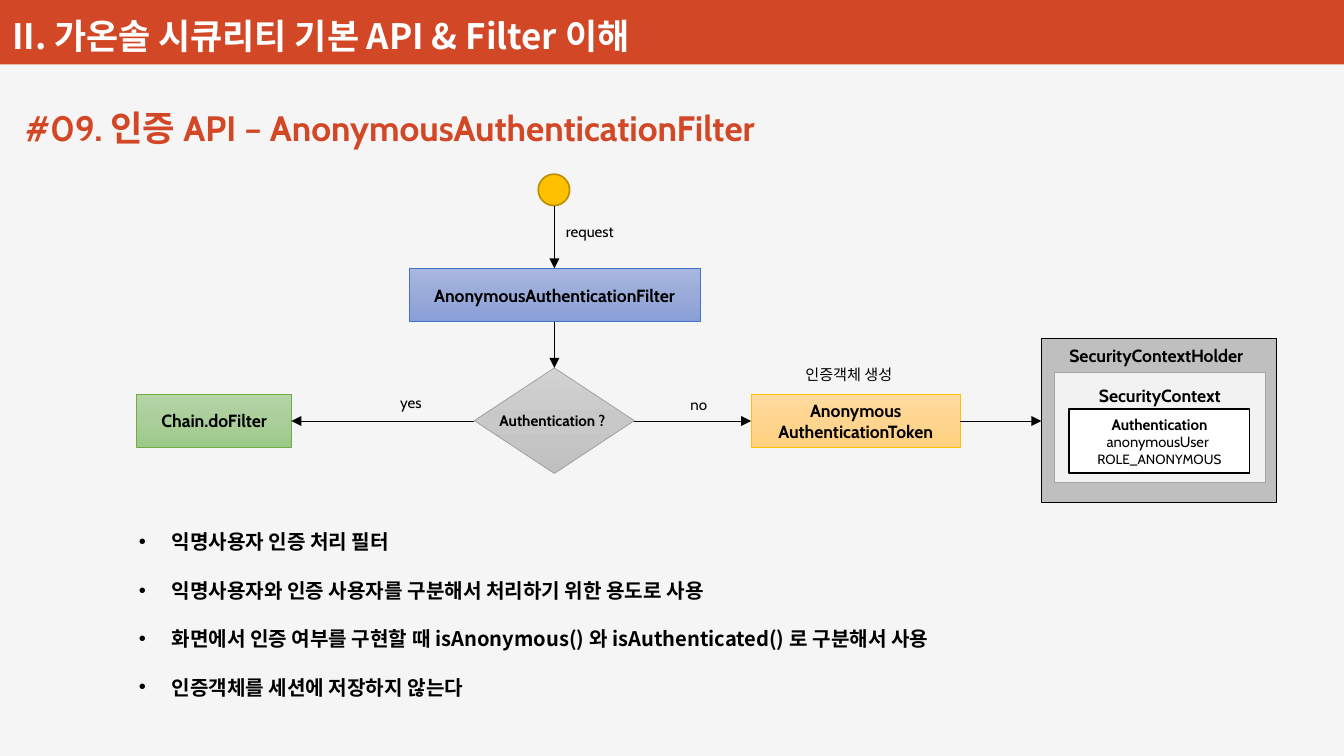
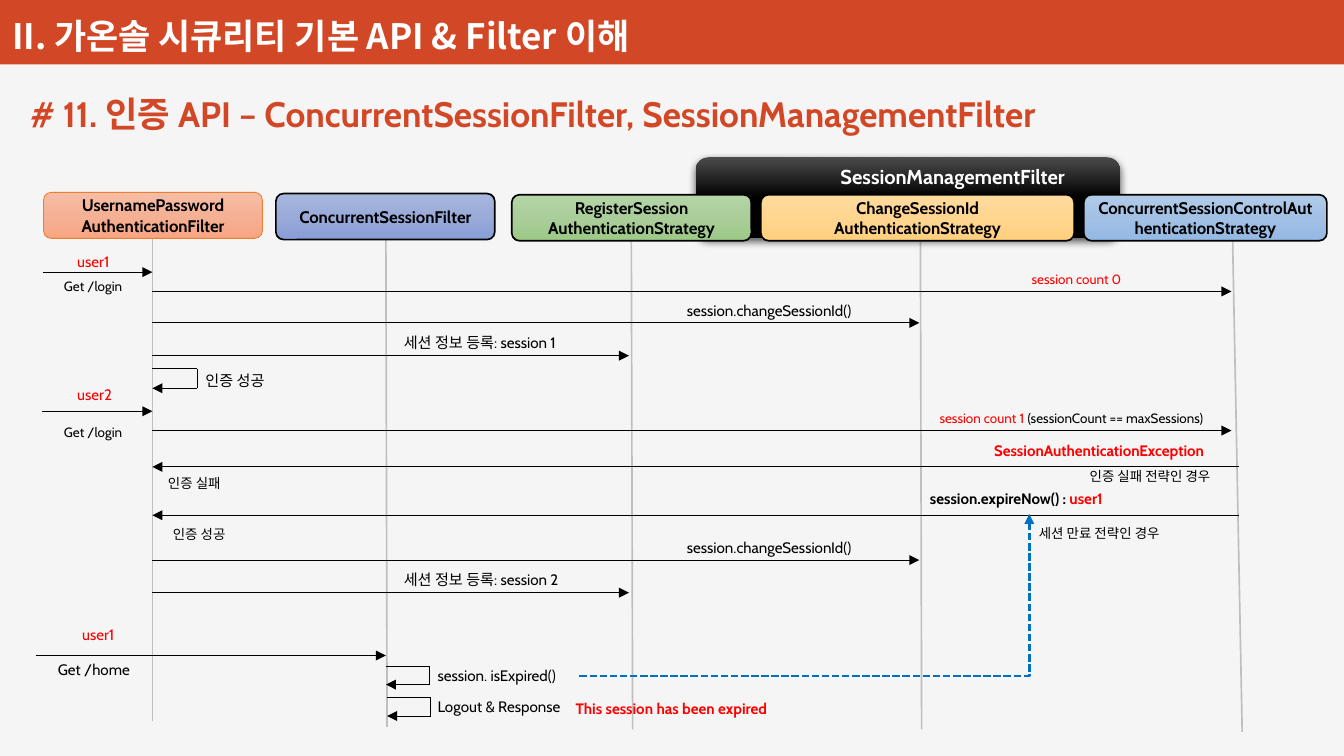
from dataclasses import dataclass
from typing import Optional

from lxml.etree import SubElement
from pptx import Presentation
from pptx.dml.color import RGBColor
from pptx.enum.dml import MSO_LINE
from pptx.enum.shapes import MSO_CONNECTOR, MSO_SHAPE
from pptx.enum.text import MSO_ANCHOR, MSO_AUTO_SIZE, PP_ALIGN
from pptx.oxml import parse_xml
from pptx.oxml.ns import nsdecls, qn
from pptx.util import Pt

# Shared style
LATIN, KOREAN = "Cabin", "Noto Sans CJK KR"
BLACK, WHITE, RED, BRAND = "000000", "FFFFFF", "FF0000", "D24726"
PAPER, LIFELINE, EXPIRY = "F5F5F5", "BFBFBF", "0070C0"
BLUE = ("A8B7DF", "9AABD9", "889ED7")
GREEN = ("B5D5A7", "AACE9A", "9CC987")
GOLD = ("FFDB9E", "FFD590", "FFD07C")
SKY = ("B1CBE9", "A3C1E5", "93B9E4")
CORAL = ("F7BDA5", "F5B196", "F8A582")
GRAY = ("D2D2D2", "C8C8C8", "C0C0C0")
DARK = ("4B4B4B", BLACK, BLACK)
CHAPTER = "II. 가온솔 시큐리티 기본 API & Filter 이해"


@dataclass
class Span:
    text: str
    size: float = 9
    color: str = BLACK
    bold: bool = False
    name: str = LATIN


Paras = list[list[Span]]


@dataclass
class Node:
    left: float
    top: float
    width: float
    height: float
    fill: str | tuple[str, ...]
    line: Optional[str] = None
    weight: float = 0.5
    paras: Paras = ()
    kind: MSO_SHAPE = MSO_SHAPE.RECTANGLE
    anchor: MSO_ANCHOR = MSO_ANCHOR.MIDDLE
    inset: float = 3.6


@dataclass
class Label:
    left: float
    top: float
    width: float
    spans: list[Span]
    height: float = 18
    wrap: bool = False
    align: PP_ALIGN = PP_ALIGN.LEFT


@dataclass
class Line:
    x1: float
    y1: float
    x2: float
    y2: float
    color: str = BLACK
    weight: float = 0.5
    arrow: bool = True


def rgb(value: str) -> RGBColor:
    return RGBColor.from_string(value)


def bold_lines(size: float, *texts: str) -> Paras:
    return [[Span(text, size, bold=True)] for text in texts]


def write(frame, paras: Paras, align: PP_ALIGN) -> None:
    for index, spans in enumerate(paras):
        para = frame.add_paragraph() if index else frame.paragraphs[0]
        para.alignment = align
        for item in spans:
            span = para.add_run()
            span.text = item.text
            formats = {"size": Pt(item.size), "bold": item.bold, "name": item.name}
            for key, value in formats.items():
                setattr(span.font, key, value)
            span.font.color.rgb = rgb(item.color)
            SubElement(span.font._element, qn("a:ea")).set("typeface", KOREAN)


def draw_node(page, node: Node):
    shape = page.shapes.add_shape(
        node.kind, Pt(node.left), Pt(node.top), Pt(node.width), Pt(node.height))
    shape.shadow.inherit = False
    if isinstance(node.fill, str):
        shape.fill.solid()
        shape.fill.fore_color.rgb = rgb(node.fill)
    else:
        stops = "".join(f'<a:gs pos="{i * 50000}"><a:srgbClr val="{c}"/></a:gs>'
                        for i, c in enumerate(node.fill))
        shape.element.spPr.insert(2, parse_xml(
            f'<a:gradFill {nsdecls("a")} rotWithShape="1"><a:gsLst>{stops}</a:gsLst>'
            '<a:lin ang="5400000" scaled="0"/></a:gradFill>'))
    if node.line:
        shape.line.color.rgb = rgb(node.line)
        shape.line.width = Pt(node.weight)
    else:
        shape.line.fill.background()
    frame = shape.text_frame
    frame.word_wrap = True
    frame.vertical_anchor = node.anchor
    frame.margin_top = Pt(node.inset)
    write(frame, node.paras, PP_ALIGN.CENTER)
    return shape


def draw_label(page, label: Label):
    box = page.shapes.add_textbox(
        Pt(label.left), Pt(label.top), Pt(label.width), Pt(label.height))
    box.text_frame.word_wrap = label.wrap
    box.text_frame.auto_size = MSO_AUTO_SIZE.SHAPE_TO_FIT_TEXT
    write(box.text_frame, [label.spans], label.align)
    return box


def draw_line(page, line: Line, kind=MSO_CONNECTOR.STRAIGHT, dash=None):
    connector = page.shapes.add_connector(
        kind, Pt(line.x1), Pt(line.y1), Pt(line.x2), Pt(line.y2))
    connector.line.color.rgb = rgb(line.color)
    connector.line.width = Pt(line.weight)
    if dash:
        connector.line.dash_style = dash
    properties = connector.element.spPr
    if line.arrow:
        SubElement(properties.find(qn("a:ln")), qn("a:tailEnd")).set("type", "triangle")
    SubElement(properties, qn("a:effectLst"))
    return connector


def draw_loop(page, left: float, top: float, width: float, height: float) -> None:
    right, bottom = left + width, top + height
    draw_line(page, Line(left, top, right, top, arrow=False))
    draw_line(page, Line(right, top, right, bottom, arrow=False))
    draw_line(page, Line(right, bottom, left, bottom))


def add_page(deck, heading: Label):
    page = deck.slides.add_slide(deck.slide_layouts[6])
    draw_node(page, Node(0, 0, 800, 38.4, BRAND))
    box = page.shapes.add_textbox(Pt(0.7), Pt(-7.2), Pt(444), Pt(44))
    frame = box.text_frame
    frame.word_wrap = True
    frame.vertical_anchor = MSO_ANCHOR.BOTTOM
    margins = {"margin_left": 6.5, "margin_right": 6.5, "margin_top": 2.9, "margin_bottom": 2.9}
    for key, value in margins.items():
        setattr(frame, key, Pt(value))
    write(frame, [[Span(CHAPTER, 20.8, WHITE, True, KOREAN)]], PP_ALIGN.LEFT)
    draw_label(page, heading)
    return page


def draw_bullets(page, paras: Paras) -> None:
    box = page.shapes.add_textbox(Pt(75.6), Pt(297.4), Pt(526.3), Pt(123.8))
    box.text_frame.word_wrap = True
    write(box.text_frame, paras, PP_ALIGN.LEFT)
    for para in box.text_frame.paragraphs:
        para.line_spacing = 2.0
        properties = para._p.get_or_add_pPr()
        properties.set("marL", str(Pt(19.4)))
        properties.set("indent", str(-Pt(19.4)))
        SubElement(properties, qn("a:buFont")).set("typeface", "Arial")
        SubElement(properties, qn("a:buChar")).set("char", "•")


def build_anonymous(deck) -> None:
    page = add_page(deck, Label(7.9, 59.8, 488, [
        Span("#09. 인증 API – AnonymousAuthenticationFilter", 21, BRAND, True)], 32.4))
    center, flow = 330, 250.6
    # Flow shapes
    user = [[Span("Authentication", bold=True)],
            [Span("anonymousUser ", 8.8)], [Span("ROLE_ANONYMOUS", 8)]]
    for node in (
        Node(320.4, 103.7, 18.7, 18.7, "FFC000", "BD8E00", 1, kind=MSO_SHAPE.OVAL),
        Node(243.4, 159.8, 173.5, 31.7, BLUE, "4472C4",
             paras=bold_lines(10.5, "AnonymousAuthenticationFilter")),
        Node(282.4, 219, 95.2, 62.8, GRAY, "A5A5A5", kind=MSO_SHAPE.FLOWCHART_DECISION),
        Node(81.4, 234.7, 92.2, 31.7, GREEN, "70AD47",
             paras=bold_lines(10.5, "Chain.doFilter")),
        Node(447.1, 234.7, 124.6, 31.7, GOLD, "FFC000",
             paras=bold_lines(10.5, "Anonymous", "AuthenticationToken")),
        Node(619.9, 201.6, 139.7, 97.2, "BFBFBF", BLACK),
        Node(627.8, 221.8, 125.3, 65.5, "F2F2F2", "A5A5A5", anchor=MSO_ANCHOR.TOP,
             inset=7.4, paras=bold_lines(10.5, "SecurityContext")),
        Node(636.5, 243.4, 107.3, 38.2, WHITE, BLACK, 1, user),
    ):
        draw_node(page, node)
    # Arrows
    for ends in ((center, 122.4, center, 159.8), (center, 191.5, center, 219),
                 (282.4, flow, 173.5, flow), (377.6, flow, 447.1, flow),
                 (571.7, flow, 619.9, flow)):
        draw_line(page, Line(*ends))
    # Labels
    for label in (
        Label(624.2, 201.6, 128.2, [Span("SecurityContextHolder", 10.5, bold=True)],
              20.2, align=PP_ALIGN.CENTER),
        Label(290.2, 241.2, 85, [Span("Authentication ?", bold=True)]),
        Label(403.9, 231.8, 30.2, [Span("no")], wrap=True),
        Label(231.1, 230.4, 30.2, [Span("yes")], wrap=True),
        Label(329.8, 128.9, 51.1, [Span("request")], wrap=True),
        Label(472.3, 213.8, 83.5, [Span("인증객체 생성")], wrap=True),
    ):
        draw_label(page, label)
    # Summary
    draw_bullets(page, [[Span(text, 12, bold=True, name=KOREAN)] for text in (
        "익명사용자 인증 처리 필터",
        "익명사용자와 인증 사용자를 구분해서 처리하기 위한 용도로 사용",
        "화면에서 인증 여부를 구현할 때 isAnonymous() 와 isAuthenticated() 로 구분해서 사용",
        "인증객체를 세션에 저장하지 않는다")])


def build_sessions(deck) -> None:
    page = add_page(deck, Label(10.8, 51.1, 678, [
        Span("# 11. 인증 API – ConcurrentSessionFilter, SessionManagementFilter",
             21, BRAND, True)], 32.4))
    # Lifelines
    for ends in ((90.7, 141.8, 90.7, 429.1), (229.7, 142.6, 230.4, 432.7),
                 (375.8, 144, 376.6, 434.2), (547.9, 144, 548.6, 434.2),
                 (733.7, 142.6, 739.4, 435.6)):
        draw_line(page, Line(*ends, LIFELINE, 1, False))
    # Session management group
    rounded = MSO_SHAPE.ROUNDED_RECTANGLE
    group = draw_node(page, Node(414, 93.6, 252.7, 48.2, DARK, kind=rounded))
    group.element.spPr.find(qn("a:effectLst")).append(parse_xml(
        f'<a:outerShdw {nsdecls("a")} blurRad="{Pt(4.5)}" dist="{Pt(1.5)}" dir="5400000">'
        f'<a:srgbClr val="{BLACK}"><a:alpha val="63000"/></a:srgbClr></a:outerShdw>'))
    # Participants
    for left, top, width, fill, line, weight, names in (
        (25.9, 114.5, 130.3, CORAL, "ED7D31", 0.5,
         ("UsernamePassword", "AuthenticationFilter")),
        (164.2, 115.2, 130.3, BLUE, BLACK, 1, ("ConcurrentSessionFilter",)),
        (304.6, 115.9, 142.6, GREEN, BLACK, 1,
         ("RegisterSession", "AuthenticationStrategy")),
        (452.9, 115.9, 186.5, GOLD, BLACK, 1,
         ("ChangeSessionId", "AuthenticationStrategy")),
        (645.1, 115.9, 144.7, SKY, BLACK, 1,
         ("ConcurrentSessionControlAuthenticationStrategy",)),
    ):
        draw_node(page, Node(left, top, width, 27.4, fill, line, weight,
                             bold_lines(10, *names), rounded))
    # Messages
    login, register, change, control = 90.7, 374.4, 547.2, 733
    for start, end, y in (
        (25.9, login, 162), (login, control, 173.5), (login, change, 192.2),
        (login, register, 211.7), (25.2, login, 244.8), (login, control, 256.3),
        (737.3, login, 277.9), (737.3, login, 306.7), (login, change, 333.4),
        (login, register, 352.8), (21.6, 229.7, 390.2),
    ):
        draw_line(page, Line(start, y, end, y))
    for loop in ((login, 219.6, 26.6, 11.5), (229.7, 396.7, 25.9, 10.8),
                 (230.4, 415.4, 25.9, 10.8)):
        draw_loop(page, *loop)
    # Expiry link
    link = draw_line(page, Line(344.9, 402.5, 612.7, 306, EXPIRY, 1.5),
                     MSO_CONNECTOR.ELBOW, MSO_LINE.SQUARE_DOT)
    link.element.spPr.find(qn("a:prstGeom")).set("prst", "bentConnector2")
    # Labels
    for left, top, width, *spans in (
        (493.2, 94.3, 161.3, Span("SessionManagementFilter", 12, WHITE, True)),
        (38.9, 146.9, 36.7, Span("user1", color=RED)),
        (31, 162, 50.4, Span("Get /login", 8)),
        (607, 157.7, 84.2, Span("session count 0", 8, RED)),
        (401.8, 175.7, 118.1, Span("session.changeSessionId()")),
        (233.3, 195.1, 115.2, Span("세션 정보 등록: session 1")),
        (115.2, 217.4, 53.3, Span("인증 성공")),
        (38.9, 226.1, 36.7, Span("user2", color=RED)),
        (31, 249.1, 50.4, Span("Get /login", 8)),
        (552.2, 240.5, 204.5, Span("session count 1 ", 8, RED),
         Span("(sessionCount == maxSessions)", 8)),
        (584.6, 259.2, 151.9, Span("SessionAuthenticationException", 9, RED, True)),
        (641.5, 275, 94.3, Span("인증 실패 전략인 경우", 8)),
        (92.9, 279.4, 49, Span("인증 실패", 8)),
        (546.5, 288, 132.5, Span("session.expireNow() :", bold=True),
         Span(" user1", 9, RED, True)),
        (611.3, 308.9, 94.3, Span("세션 만료 전략인 경우", 8)),
        (95.8, 309.6, 49, Span("인증 성공", 8)),
        (401.8, 316.8, 118.1, Span("session.changeSessionId()")),
        (233.3, 336.2, 115.2, Span("세션 정보 등록: session 2")),
        (41.8, 368.6, 36.7, Span("user1", color=RED)),
        (27.4, 389.5, 57.6, Span("Get /home")),
        (253.4, 393.1, 92.2, Span("session. isExpired()")),
        (253.4, 411.8, 96.5, Span("Logout & Response")),
        (335.5, 412.6, 140.4, Span("This session has been expired", 9, RED, True)),
    ):
        draw_label(page, Label(left, top, width, spans))


def main() -> None:
    deck = Presentation()
    deck.slide_width, deck.slide_height = Pt(800), Pt(450)
    backdrop = deck.slide_master.background.fill
    backdrop.solid()
    backdrop.fore_color.rgb = rgb(PAPER)
    build_anonymous(deck)
    build_sessions(deck)
    deck.save("out.pptx")


if __name__ == "__main__":
    main()
